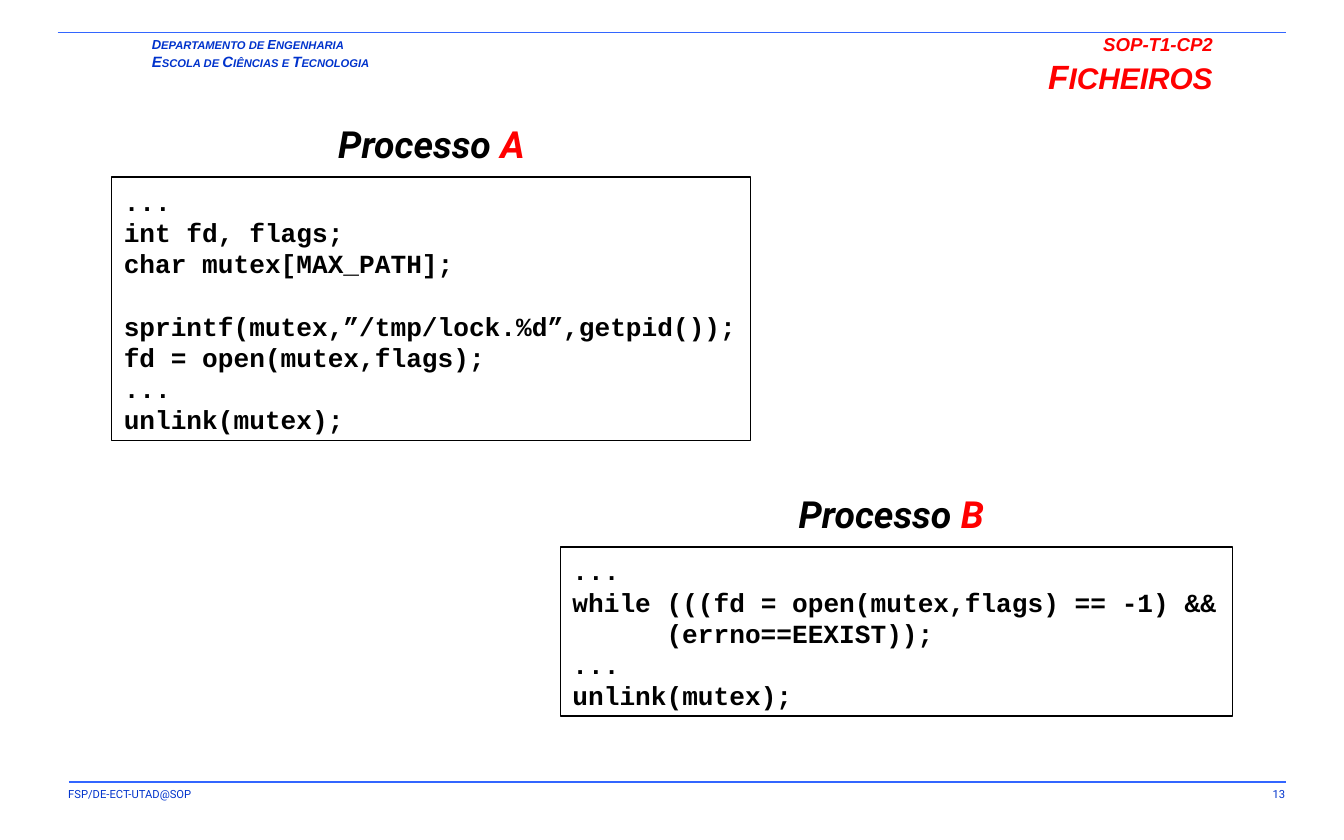
from dataclasses import dataclass

import pptx
import pptx.dml.color
import pptx.enum.shapes
import pptx.enum.text
import pptx.util
from lxml import etree

Cm = pptx.util.Cm
Pt = pptx.util.Pt
Align = pptx.enum.text.PP_ALIGN
Anchor = pptx.enum.text.MSO_ANCHOR

HUES = {"blue": "0033CC", "rule": "3366FF", "red": "FF0000", "black": "000000"}
STEP = 16.75  # height of a code line in points
CHAR = 8.4  # width of a code character in points


@dataclass
class Run:
    text: str
    size: float
    hue: str


@dataclass
class Code:
    text: str
    tab: int = 0  # indent in characters
    gap: int = 0  # empty lines above


@dataclass
class Proc:
    name: str
    left: float
    top: float
    width: float
    height: float
    title: float  # left edge of the heading
    lines: list[Code]


def color(name: str) -> pptx.dml.color.RGBColor:
    return pptx.dml.color.RGBColor.from_string(HUES[name])


def write(frame, paras: list[list[Run]], *, font: str, bold: bool = False,
          slant: bool = False, align=Align.LEFT, anchor=Anchor.TOP,
          pad: tuple[float, float] = (0.2, 0.1)) -> None:
    frame.word_wrap = True
    frame.vertical_anchor = anchor
    frame.margin_left = frame.margin_right = Cm(pad[0])
    frame.margin_top = frame.margin_bottom = Cm(pad[1])
    for pos, runs in enumerate(paras):
        para = frame.add_paragraph() if pos else frame.paragraphs[0]
        para.alignment = align
        for item in runs:
            run = para.add_run()
            run.text = item.text
            run.font.name = font
            run.font.size = Pt(item.size)
            run.font.bold = bold
            run.font.italic = slant
            run.font.color.rgb = color(item.hue)


def frame(slide, left: float, top: float, width: float, height: float):
    box = slide.shapes.add_textbox(Cm(left), Cm(top), Cm(width), Cm(height))
    return box.text_frame


def caps(text: str, big: float, small: float, hue: str) -> list[Run]:
    """Split text into large capitals and small ones."""
    runs: list[Run] = []
    for char in text:
        size = big if char.isupper() else small
        if runs and runs[-1].size == size:
            runs[-1].text += char.upper()
        else:
            runs.append(Run(char.upper(), size, hue))
    return runs


def rule(slide, left: float, right: float, top: float) -> None:
    kind = pptx.enum.shapes.MSO_CONNECTOR.STRAIGHT
    line = slide.shapes.add_connector(kind, Cm(left), Cm(top), Cm(right), Cm(top))
    line.line.color.rgb = color("rule")
    line.line.width = Pt(0.75)
    props = line._element.spPr
    etree.SubElement(props, pptx.oxml.ns.qn("a:effectLst"))


def process(slide, proc: Proc) -> None:
    kind = pptx.enum.shapes.MSO_SHAPE.RECTANGLE
    box = slide.shapes.add_shape(kind, Cm(proc.left), Cm(proc.top),
                                 Cm(proc.width), Cm(proc.height))
    box.shadow.inherit = False
    box.fill.background()
    box.line.color.rgb = color("black")
    box.line.width = Pt(0.75)
    write(box.text_frame, [[Run(line.text, 14, "black")] for line in proc.lines],
          font="Courier New", bold=True, pad=(0.23, 0.15))
    for para, line in zip(box.text_frame.paragraphs, proc.lines):
        para.line_spacing = Pt(STEP)
        para.space_before = Pt(line.gap * STEP)
        if line.tab:
            para._p.get_or_add_pPr().set("marL", str(Pt(line.tab * CHAR)))
    # Heading above the box
    write(frame(slide, proc.title, proc.top - 1.27, 8.69, 1.27),
          [[Run("Processo ", 20, "black"), Run(proc.name, 20, "red")]],
          font="Roboto", bold=True, slant=True, align=Align.CENTER,
          anchor=Anchor.MIDDLE, pad=(0.13, 0.08))


PROCS = [
    Proc("A", 2.11, 3.35, 12.07, 4.98, 3.81, [
        Code("..."),
        Code("int fd, flags;"),
        Code("char mutex[MAX_PATH];"),
        Code("sprintf(mutex,”/tmp/lock.%d”,getpid());", gap=1),
        Code("fd = open(mutex,flags);"),
        Code("..."),
        Code("unlink(mutex);"),
    ]),
    Proc("B", 10.59, 10.34, 12.7, 3.2, 12.5, [
        Code("..."),
        Code("while (((fd = open(mutex,flags) == -1) &&"),
        Code("(errno==EEXIST));", tab=6),
        Code("..."),
        Code("unlink(mutex);"),
    ]),
]

deck = pptx.Presentation()
deck.slide_width, deck.slide_height = Cm(25.4), Cm(15.88)
page = deck.slides.add_slide(deck.slide_layouts[6])

# Footer
write(frame(page, 1.09, 14.78, 11.81, 0.52),
      [[Run("FSP/DE-ECT-UTAD@SOP", 6, "blue")]], font="Roboto")
write(frame(page, 21.31, 14.78, 3.18, 0.52),
      [[Run("13", 6, "blue")]], font="Roboto", align=Align.RIGHT)

# Header
write(frame(page, 2.69, 0.61, 6.6, 0.81),
      [caps("Departamento de Engenharia", 7, 6, "blue"),
       caps("Escola de Ciências e Tecnologia", 8, 6, "blue")],
      font="Arial", bold=True, slant=True, pad=(0.18, 0.08))
write(frame(page, 8.36, 0.53, 14.76, 1.19),
      [[Run("SOP-T1-CP2", 10, "red")], caps("Ficheiros", 18, 16, "red")],
      font="Arial", bold=True, slant=True, align=Align.RIGHT)

# Rules
rule(page, 1.09, 24.31, 0.61)
rule(page, 1.3, 24.31, 14.78)

# Processes
for proc in PROCS:
    process(page, proc)

deck.save("out.pptx")
